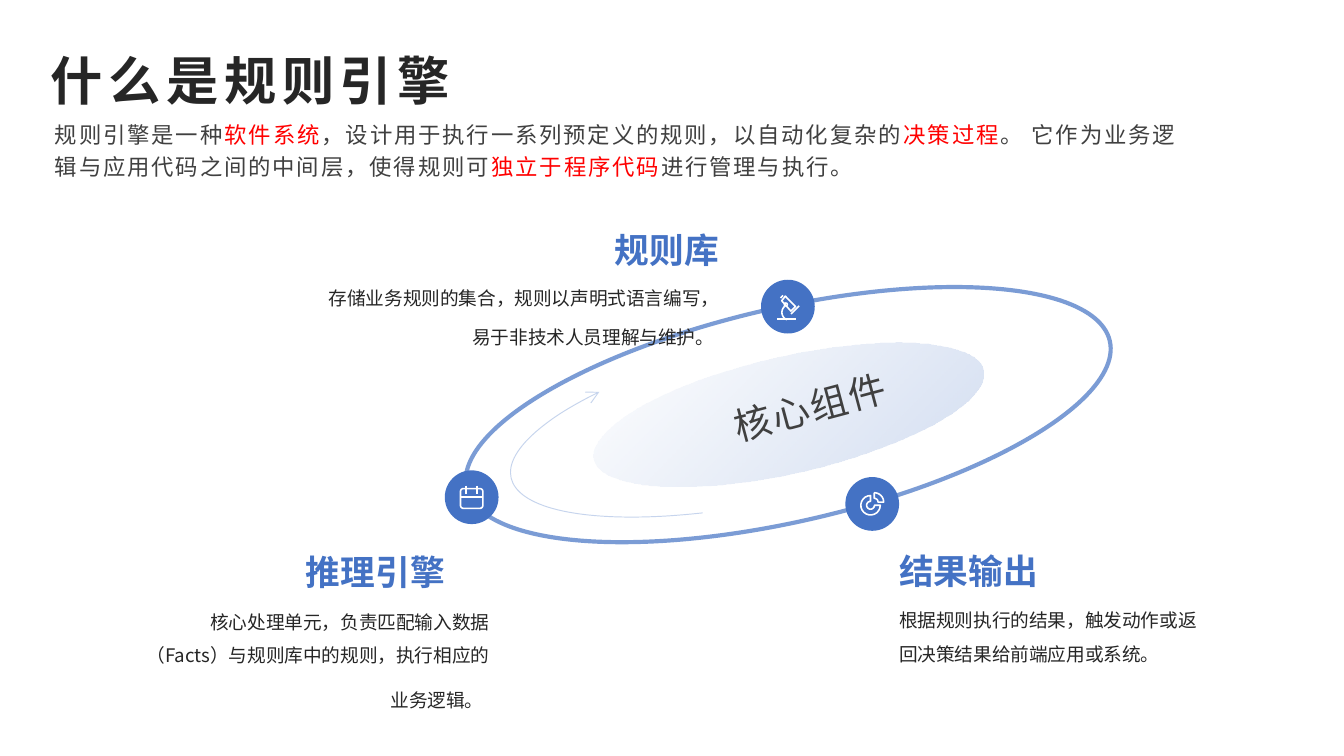
import math
from dataclasses import dataclass

from lxml import etree
from pptx import Presentation
from pptx import util as u
from pptx.dml.color import RGBColor
from pptx.enum import shapes, text
from pptx.oxml import parse_xml
from pptx.oxml.ns import nsdecls, qn

COLORS = {"title": "262626", "body": "404040", "key": "FF0000",
          "accent": "4472C4", "glow": "8FAADC", "icon": "FFFFFF"}
CJK, LATIN = "Noto Sans CJK SC", "Arial"
LEFT, RIGHT = text.PP_ALIGN.LEFT, text.PP_ALIGN.RIGHT
TOP, BOTTOM = text.MSO_ANCHOR.TOP, text.MSO_ANCHOR.BOTTOM
TILT = -12.9
DISC = 28.8

Point = tuple[float, float]
Box = tuple[float, float, float, float]


@dataclass
class Run:
    text: str
    color: str = "body"
    size: float | None = None
    font: str | None = None


@dataclass
class Component:
    heading: str
    heading_box: Box
    body: list[Run]
    body_box: Box
    body_font: str
    align: text.PP_ALIGN
    disc: Point
    icon: list[list[Point]]


def rgb(name: str) -> RGBColor:
    return RGBColor.from_string(COLORS[name])


def pts(box: Box) -> list[u.Pt]:
    return [u.Pt(v) for v in box]


def arc(cx: float, cy: float, r: float, start: float, end: float) -> list[Point]:
    steps = 16
    angles = [math.radians(start + (end - start) * i / steps) for i in range(steps + 1)]
    return [(cx + r * math.cos(a), cy + r * math.sin(a)) for a in angles]


def closed(points: list[Point]) -> list[Point]:
    return points + points[:1]


def add_text(s, box: Box, runs: list[Run], *, size: float, font: str = CJK,
             bold: bool = False, align=LEFT, anchor=TOP, leading: float = 1.0,
             after: float = 0, tracking: float = 0, rotation: float = 0,
             inset: Point = (7.2, 3.6)):
    sp = s.shapes.add_textbox(*pts(box))
    sp.rotation = rotation
    tf = sp.text_frame
    tf.word_wrap = True
    tf.vertical_anchor = anchor
    tf.margin_left = tf.margin_right = u.Pt(inset[0])
    tf.margin_top = tf.margin_bottom = u.Pt(inset[1])
    p = tf.paragraphs[0]
    p.alignment, p.line_spacing, p.space_after = align, leading, u.Pt(after)
    for run in runs:
        r = p.add_run()
        r.text = run.text
        r.font.size, r.font.bold = u.Pt(run.size or size), bold
        r.font.name = run.font or font
        r.font.color.rgb = rgb(run.color)
        rpr = r.font._element
        if tracking:
            rpr.set("spc", str(int(tracking * 100)))
        rpr.find(qn("a:latin")).addnext(
            parse_xml(f'<a:ea {nsdecls("a")} typeface="{CJK}"/>'))
    return sp


def add_shape(s, kind: shapes.MSO_SHAPE, box: Box, fill: str | None = None,
              rotation: float = 0):
    sp = s.shapes.add_shape(kind, *pts(box))
    sp.shadow.inherit = False
    sp.rotation = rotation
    if fill:
        sp.fill.solid()
        sp.fill.fore_color.rgb = rgb(fill)
    else:
        sp.fill.background()
    sp.line.fill.background()
    return sp


def stroke(sp, color: str, width: float, alpha: int = 100) -> None:
    sp.line.color.rgb = rgb(color)
    sp.line.width = u.Pt(width)
    if alpha < 100:
        clr = sp.line._ln.find(".//" + qn("a:srgbClr"))
        etree.SubElement(clr, qn("a:alpha")).set("val", str(alpha * 1000))


def add_glow(s, box: Box) -> None:
    sp = add_shape(s, shapes.MSO_SHAPE.OVAL, box, rotation=TILT)
    stops = "".join(
        f'<a:gs pos="{pos}"><a:srgbClr val="{COLORS["glow"]}">'
        f'<a:alpha val="{alpha}"/></a:srgbClr></a:gs>'
        for pos, alpha in ((0, 40000), (100000, 0)))
    grad = parse_xml(
        f'<a:gradFill {nsdecls("a")} rotWithShape="1"><a:gsLst>{stops}</a:gsLst>'
        '<a:path path="circle"><a:fillToRect l="100000" t="100000"/></a:path></a:gradFill>')
    pr = sp._element.spPr
    pr.replace(pr.find(qn("a:noFill")), grad)


def add_orbit(s) -> None:
    add_glow(s, (315.4, 190.8, 213.8, 62.6))
    ring = add_shape(s, shapes.MSO_SHAPE.OVAL, (245.5, 164.9, 353.5, 114.5), rotation=TILT)
    stroke(ring, "accent", 2.25, 70)
    sweep = add_shape(s, shapes.MSO_SHAPE.ARC, (270, 177.8, 304.6, 88.6), rotation=TILT)
    sweep.adjustments[0], sweep.adjustments[1] = 86.34, 119.84
    stroke(sweep, "accent", 0.5, 30)
    etree.SubElement(sweep.line._ln, qn("a:tailEnd")).set("type", "arrow")


def add_icon(s, center: Point, strokes: list[list[Point]]) -> None:
    lines = [[(u.Pt(center[0] + x), u.Pt(center[1] + y)) for x, y in line]
             for line in strokes]
    builder = s.shapes.build_freeform(*lines[0][0])
    for i, line in enumerate(lines):
        if i:
            builder.move_to(*line[0])
        builder.add_line_segments(line[1:], close=False)
    sp = builder.convert_to_shape()
    sp.shadow.inherit = False
    sp.fill.background()
    stroke(sp, "icon", 0.85)


def add_component(s, c: Component) -> None:
    x, y = c.disc
    add_shape(s, shapes.MSO_SHAPE.OVAL, (x - DISC / 2, y - DISC / 2, DISC, DISC), "accent")
    add_icon(s, c.disc, c.icon)
    add_text(s, c.body_box, c.body, size=10, font=c.body_font, align=c.align,
             leading=1.5, inset=(0, 0))
    add_text(s, c.heading_box, [Run(c.heading, "accent")], size=18.6, font=LATIN,
             bold=True, align=c.align, anchor=BOTTOM, inset=(0, 0))


CALENDAR = [
    closed(arc(-4.4, -3, 1.6, 180, 270) + arc(4.4, -3, 1.6, 270, 360)
           + arc(4.4, 4.4, 1.6, 0, 90) + arc(-4.4, 4.4, 1.6, 90, 180)),
    [(-6, 0), (6, 0)], [(-3, -6.2), (-3, -1.7)], [(3, -6.2), (3, -1.7)]]
PIE = [
    closed(arc(-0.9, 0.7, 5.2, 0, 270) + arc(-0.9, 0.7, 2.1, 270, 0)),
    closed(arc(1.1, -1, 5, 270, 360) + arc(1.1, -1, 2, 360, 270))]
MICROSCOPE = [
    closed([(-1.4, -5.6), (4.1, 0), (1.6, 2.4), (-3.3, -3.1)]),
    arc(-1.1, -1.1, 0.8, 0, 360), arc(1, 3.1, 4.2, 230, 110),
    [(-5.6, 6.8), (4.3, 6.8)], [(-3.9, -4.6), (-2.6, -6)], [(6, -0.4), (1.7, 4)]]

COMPONENTS = [
    Component("结果输出", (481.7, 286.6, 164.9, 30.2),
              [Run("根据规则执行的结果，触发动作或返回决策结果给前端应用或系统。", "title")],
              (481.7, 320.4, 164.9, 43.9), LATIN, LEFT, (467.3, 270), PIE),
    Component("推理引擎", (73.4, 287.3, 164.9, 30.2),
              [Run("核心处理单元，负责匹配输入数据（Facts）与规则库中的规则，执行相应的业务逻辑。", "title"),
               Run(" ", "title", 13.6, LATIN)],
              (73.4, 321.1, 188.6, 43.9), CJK, RIGHT, (252.7, 266.4), CALENDAR),
    Component("规则库", (220.3, 118.8, 164.9, 25.9),
              [Run("存储业务规则的集合，规则以声明式语言编写，易于非技术人员理解与维护。", "title"),
               Run(" ", "title", 12)],
              (173.5, 147.6, 211.7, 49), CJK, RIGHT, (422.1, 164.3), MICROSCOPE),
]
INTRO = [
    Run("规则引擎是一种"), Run("软件系统", "key"),
    Run("，设计用于执行一系列预定义的规则，以自动化复杂的"), Run("决策过程", "key"),
    Run("。 它作为业务逻辑与应用代码之间的中间层，使得规则可"),
    Run("独立于程序代码", "key"), Run("进行管理与执行。")]


def main() -> None:
    """Build the rule engine overview slide."""
    prs = Presentation()
    prs.slide_width, prs.slide_height = u.Pt(720), u.Pt(405)
    s = prs.slides.add_slide(prs.slide_layouts[6])
    add_text(s, (20.2, 12.2, 463.7, 61.2), [Run("什么是规则引擎", "title")],
             size=28, bold=True, leading=1.3, tracking=3)
    add_text(s, (22.3, 58.3, 620.6, 41.8), INTRO, size=12, leading=1.2,
             after=8, tracking=1)
    add_orbit(s)
    for component in COMPONENTS:
        add_component(s, component)
    add_text(s, (385.2, 201.6, 103, 31.7), [Run("核心组件")], size=20,
             tracking=1, rotation=-15)
    prs.save("out.pptx")


if __name__ == "__main__":
    main()
